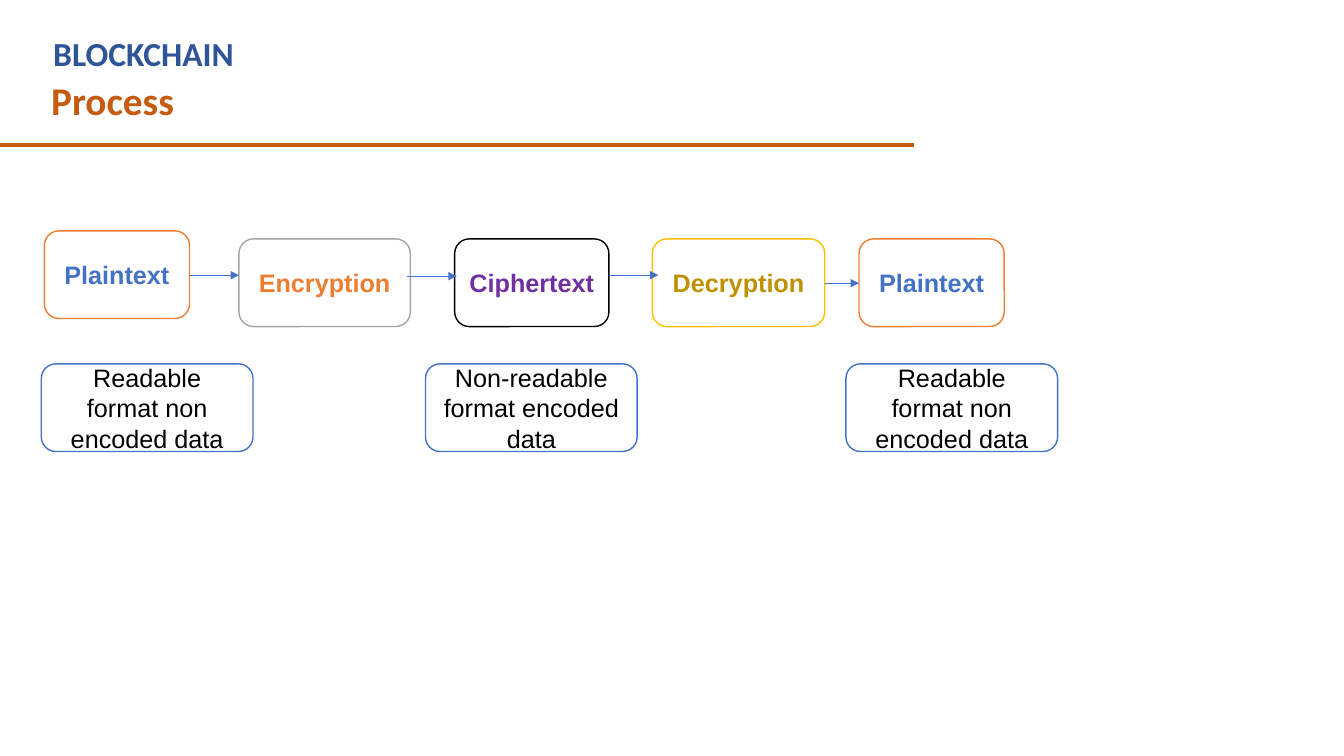
from lxml.etree import SubElement
from pptx import Presentation
from pptx.dml.color import RGBColor
from pptx.enum.shapes import MSO_CONNECTOR, MSO_SHAPE
from pptx.enum.text import MSO_ANCHOR, MSO_AUTO_SIZE, PP_ALIGN
from pptx.oxml.ns import qn
from pptx.util import Inches, Pt

BLUE, ORANGE, RUST = "4472C4", "ED7D31", "C55A11"
BOX_HEIGHT = 0.87

# Process steps: text, text colour, outline, left offset, top offset, width
STEPS = [
    ("Plaintext", BLUE, ORANGE, 0, 0, 1.44),
    ("Encryption", ORANGE, "A5A5A5", 1.93, 0.08, 1.7),
    ("Ciphertext", "7030A0", "000000", 4.07, 0.08, 1.53),
    ("Decryption", "BF9000", "FFC000", 6.03, 0.08, 1.71),
    ("Plaintext", BLUE, ORANGE, 8.08, 0.08, 1.44),
]
# Arrows between the steps: left offset, top offset, length
ARROWS = [(1.44, 0.44, 0.49), (3.6, 0.45, 0.49), (5.6, 0.44, 0.49), (7.74, 0.52, 0.34)]
# Explanations below the steps: left offset, text
NOTES = [
    (0, "Readable format non encoded data"),
    (3.81, "Non-readable format encoded data"),
    (7.98, "Readable format non encoded data"),
]


def color(value):
    return RGBColor.from_string(value)


def write(shape, text, size, font_name, font_color, bold):
    text_frame = shape.text_frame
    text_frame.word_wrap = True
    text_frame.text = text
    font = text_frame.paragraphs[0].runs[0].font
    font.size, font.name, font.bold = Pt(size), font_name, bold
    font.color.rgb = color(font_color)


def add_heading(slide, left, top, width, height, text, size, font_color):
    heading = slide.shapes.add_textbox(Inches(left), Inches(top), Inches(width), Inches(height))
    write(heading, text, size, "Calibri", font_color, True)
    heading.text_frame.auto_size = MSO_AUTO_SIZE.SHAPE_TO_FIT_TEXT


def add_line(slide, left, top, length, line_color, weight, arrow=False):
    line = slide.shapes.add_connector(
        MSO_CONNECTOR.STRAIGHT, Inches(left), Inches(top), Inches(left + length), Inches(top))
    line.line.color.rgb = color(line_color)
    line.line.width = Pt(weight)
    if arrow:
        SubElement(line.line._get_or_add_ln(), qn("a:tailEnd"), type="triangle")
    SubElement(line._element.spPr, qn("a:effectLst"))


def add_box(slide, left, top, width, text, font_color, outline, bold):
    box = slide.shapes.add_shape(
        MSO_SHAPE.ROUNDED_RECTANGLE, Inches(left), Inches(top), Inches(width), Inches(BOX_HEIGHT))
    box.shadow.inherit = False
    box.fill.solid()
    box.fill.fore_color.rgb = color("FFFFFF")
    box.line.color.rgb = color(outline)
    box.line.width = Pt(1)
    write(box, text, 18, "Arial", font_color, bold)
    box.text_frame.vertical_anchor = MSO_ANCHOR.MIDDLE
    box.text_frame.paragraphs[0].alignment = PP_ALIGN.CENTER


def add_header(slide, left, top):
    add_heading(slide, left, top + 0.43, 8.75, 0.57, "Process", 28, RUST)
    add_line(slide, -0.01, top + 1.16, 9.08, RUST, 3)
    add_heading(slide, left + 0.02, top, 8.2, 0.5, "BLOCKCHAIN", 24, "2F5597")


def add_process(slide, left, top):
    for text, font_color, outline, across, down, width in STEPS:
        add_box(slide, left + across, top + down, width, text, font_color, outline, True)
    for across, down, length in ARROWS:
        add_line(slide, left + across, top + down, length, BLUE, 0.5, arrow=True)


def add_notes_row(slide, left, top):
    for across, text in NOTES:
        add_box(slide, left + across, top, 2.1, text, "000000", BLUE, False)


def main():
    presentation = Presentation()
    presentation.slide_width, presentation.slide_height = Inches(13.33), Inches(7.5)
    slide = presentation.slides.add_slide(presentation.slide_layouts[6])
    add_header(slide, 0.41, 0.28)
    add_notes_row(slide, 0.41, 3.61)
    add_process(slide, 0.44, 2.29)
    presentation.save("out.pptx")


if __name__ == "__main__":
    main()
